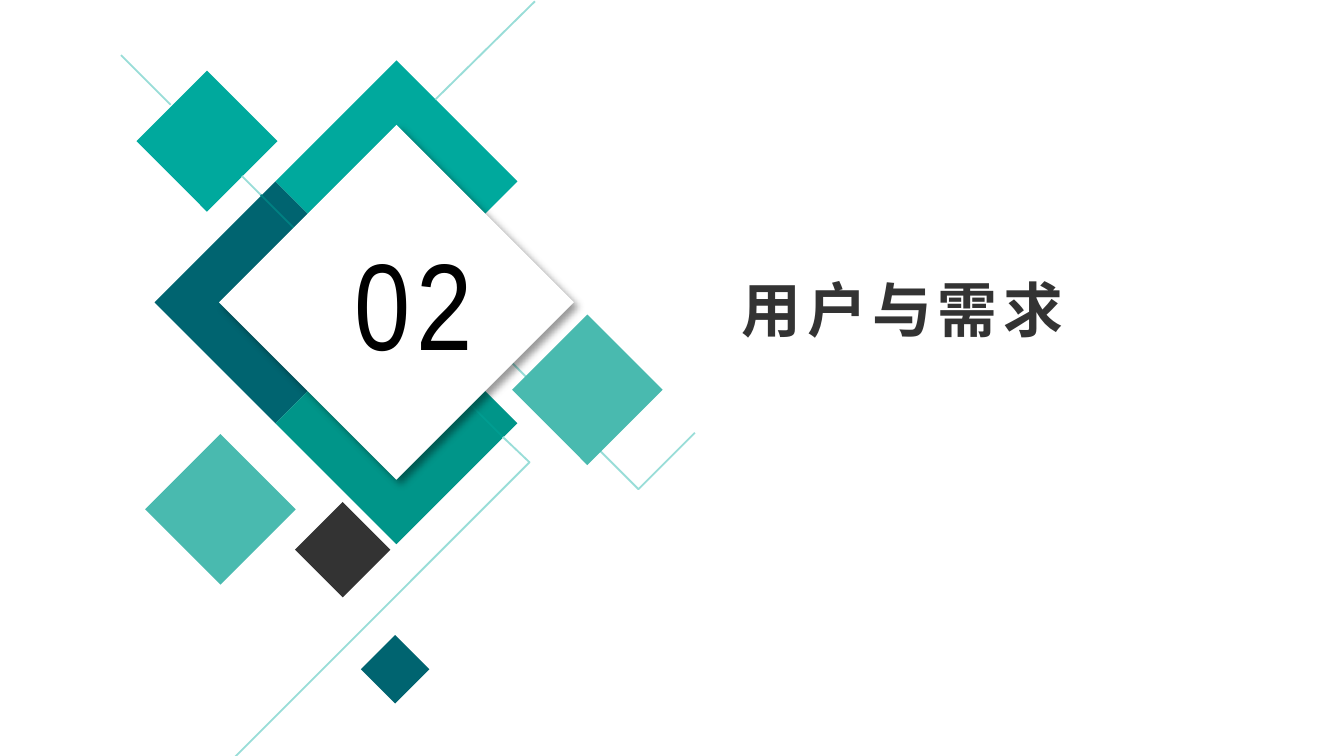
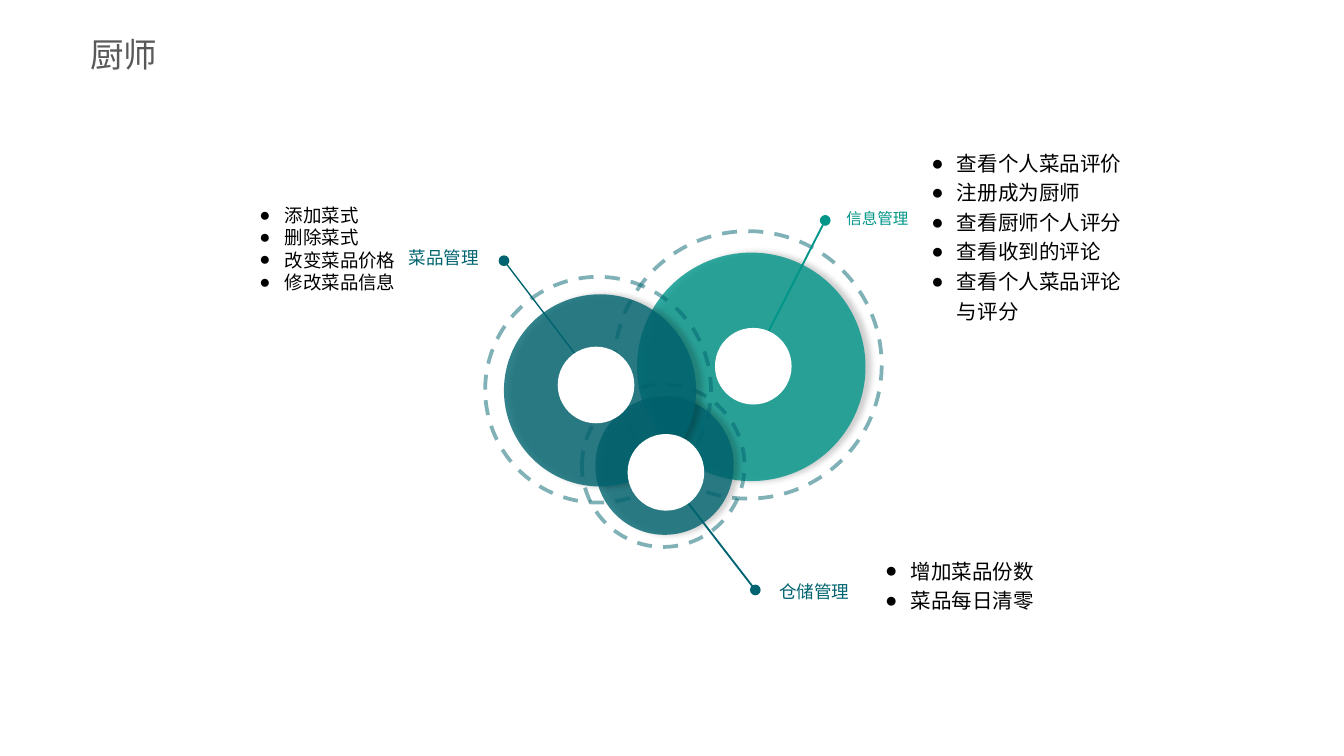
from dataclasses import dataclass

from lxml.etree import SubElement
from pptx import Presentation
from pptx.dml.color import RGBColor
from pptx.enum.dml import MSO_LINE
from pptx.enum.shapes import MSO_CONNECTOR, MSO_SHAPE
from pptx.enum.text import MSO_ANCHOR as Anchor, MSO_AUTO_SIZE as AutoSize, PP_ALIGN as Align
from pptx.oxml.ns import qn
from pptx.util import Inches, Pt


# ---- Theme ----
@dataclass(frozen=True)
class Theme:
    font: str = "Noto Sans CJK SC"
    number_font: str = "Arial Narrow"
    black: str = "000000"
    white: str = "FFFFFF"
    ink: str = "333333"
    grey: str = "595959"
    petrol: str = "006470"
    teal: str = "00A99D"
    green: str = "009589"
    mint: str = "49BAAF"
    thread: str = "99DDD8"
    thread_petrol: str = "008082"
    thread_green: str = "009D91"
    section_size: float = 32
    number_size: float = 66
    title_size: float = 18
    label_size: float = 9.4
    small_label_size: float = 8.3
    list_size: float = 11
    small_list_size: float = 9.9


THEME = Theme()
TITLE_ONLY, COMPARISON = 5, 4
Point = tuple[float, float]
Area = tuple[float, float, float, float]


# ---- Repeated elements ----
@dataclass(frozen=True)
class Shadow:
    alpha: int
    blur: float
    distance: float
    angle: int


@dataclass(frozen=True)
class Diamond:
    x: float  # centre
    y: float
    size: float
    color: str
    shadow: Shadow | None = None


@dataclass(frozen=True)
class Thread:
    color: str
    points: list[Point]


@dataclass(frozen=True)
class Circle:
    left: float
    top: float
    size: float


@dataclass(frozen=True)
class Orb:
    color: str
    disc: Circle
    halo: Circle
    hole: Circle


@dataclass(frozen=True)
class Callout:
    label: str
    color: str
    dot: Point
    target: Point
    label_at: Point
    size: float = THEME.label_size
    line_width: float = 1
    align: Align = Align.LEFT


@dataclass(frozen=True)
class BulletList:
    area: Area
    items: list[str]
    size: float = THEME.list_size
    spacing: float = 1.2
    bottom: float = 0  # inset that lifts the centred text
    align: Align = Align.LEFT


# ---- Section slide ----
FRAME = [
    Diamond(2.05, 2.25, 1.8, THEME.petrol),
    Diamond(2.95, 1.35, 1.8, THEME.teal),
    Diamond(1.54, 1.05, 1.05, THEME.teal),
    Diamond(2.95, 3.15, 1.8, THEME.green),
    Diamond(2.55, 4.09, 0.71, THEME.ink),
]
THREADS = [
    Thread(THEME.thread, [(3.15, 2.04), (4.75, 3.64), (5.17, 3.22)]),
    Thread(THEME.thread, [(3.24, 0.74), (3.98, 0.01)]),
    Thread(THEME.thread, [(3.74, 3.25), (3.94, 3.44), (1.74, 5.64)]),
    Thread(THEME.thread, [(1.8, 1.31), (1.94, 1.45)]),
    Thread(THEME.thread, [(0.9, 0.41), (1.27, 0.78)]),
    Thread(THEME.thread_petrol, [(1.94, 1.45), (2.84, 2.35)]),
    Thread(THEME.thread_green, [(2.84, 2.35), (3.74, 3.25)]),
]
FRONT = [
    Diamond(2.95, 2.25, 2.64, THEME.white, Shadow(40, 4, 3, 45)),
    Diamond(4.37, 2.9, 1.12, THEME.mint),
    Diamond(1.64, 3.79, 1.12, THEME.mint),
    Diamond(2.94, 4.98, 0.51, THEME.petrol),
]

# ---- Chef slide ----
ORB_SHADOW = Shadow(23, 3, 3, 0)
ORBS = [
    Orb(THEME.green, Circle(4.74, 1.88, 1.7), Circle(4.57, 1.72, 1.99), Circle(5.32, 2.44, 0.57)),
    Orb(THEME.petrol, Circle(4.43, 2.95, 1.03), Circle(4.33, 2.86, 1.21), Circle(4.67, 3.23, 0.57)),
    Orb(THEME.petrol, Circle(3.75, 2.19, 1.43), Circle(3.61, 2.06, 1.68), Circle(4.15, 2.58, 0.57)),
]
CALLOUTS = [
    Callout("信息管理", THEME.green, (6.14, 1.64), (5.66, 2.58), (6.2, 1.51),
            size=THEME.small_label_size),
    Callout("菜品管理", THEME.petrol, (3.75, 1.94), (4.36, 2.74), (2.66, 1.79),
            line_width=0.75, align=Align.RIGHT),
    Callout("仓储管理", THEME.petrol, (5.62, 4.39), (5.01, 3.6), (5.7, 4.27)),
]
LISTS = [
    BulletList((1.93, 1.51, 1.45, 0.68), ["添加菜式", "删除菜式", "改变菜品价格", "修改菜品信息"],
               size=THEME.small_list_size, spacing=1.0),
    BulletList((6.93, 1.27, 1.42, 1.17),
               ["查看个人菜品评价", "注册成为厨师", "查看厨师个人评分", "查看收到的评论",
                "查看个人菜品评论与评分"], bottom=0.22),
    BulletList((6.44, 4.22, 1.4, 0.68), ["增加菜品份数", "菜品每日清零"],
               bottom=0.44, align=Align.CENTER),
]


# ---- Drawing helpers ----
def place(box, left: float, top: float, width: float, height: float) -> None:
    box.left, box.top = Inches(left), Inches(top)
    box.width, box.height = Inches(width), Inches(height)


def set_alpha(parent, percent: int) -> None:
    color = next(parent.iter(qn("a:srgbClr")))
    SubElement(color, qn("a:alpha"), val=str(percent * 1000))


def set_shadow(shape, shadow: Shadow) -> None:
    effects = shape._element.spPr.find(qn("a:effectLst"))
    outer = SubElement(effects, qn("a:outerShdw"), blurRad=str(Pt(shadow.blur)),
                       dist=str(Pt(shadow.distance)), dir=str(shadow.angle * 60000),
                       algn="ctr", rotWithShape="0")
    SubElement(outer, qn("a:srgbClr"), val=THEME.black)
    set_alpha(outer, shadow.alpha)


def add_solid(page, kind, left: float, top: float, size: float, color: str,
              alpha: int = 100, shadow: Shadow | None = None):
    shape = page.shapes.add_shape(kind, *map(Inches, (left, top, size, size)))
    shape.shadow.inherit = False
    shape.fill.solid()
    shape.fill.fore_color.rgb = RGBColor.from_string(color)
    shape.line.fill.background()
    if alpha < 100:
        set_alpha(shape._element.spPr.find(qn("a:solidFill")), alpha)
    if shadow:
        set_shadow(shape, shadow)
    return shape


def add_diamond(page, item: Diamond) -> None:
    add_solid(page, MSO_SHAPE.DIAMOND, item.x - item.size / 2, item.y - item.size / 2,
              item.size, item.color, shadow=item.shadow)


def add_halo(page, circle: Circle) -> None:
    halo = add_solid(page, MSO_SHAPE.OVAL, circle.left, circle.top, circle.size, THEME.white)
    halo.fill.background()
    halo.line.color.rgb = RGBColor.from_string(THEME.petrol)
    halo.line.width = Pt(2)
    halo.line.dash_style = MSO_LINE.DASH
    set_alpha(halo._element.spPr.find(qn("a:ln")), 50)


def add_path(page, points: list[Point], color: str, width: float = 1) -> None:
    """Draw a straight line as a connector and a bent one as an open outline."""
    corners = [(Inches(x), Inches(y)) for x, y in points]
    if len(corners) == 2:
        stroke = page.shapes.add_connector(MSO_CONNECTOR.STRAIGHT, *corners[0], *corners[1])
        SubElement(stroke._element.spPr, qn("a:effectLst"))
    else:
        builder = page.shapes.build_freeform(*corners[0], scale=1.0)
        builder.add_line_segments(corners[1:], close=False)
        stroke = builder.convert_to_shape()
        stroke.fill.background()
        stroke.shadow.inherit = False
    stroke.line.color.rgb = RGBColor.from_string(color)
    stroke.line.width = Pt(width)


def write(para, text: str, *, size: float, color: str, font: str = THEME.font,
          bold: bool = False, tracking: float = 0, align: Align = Align.LEFT) -> None:
    para.alignment = align
    span = para.add_run()
    span.text = text
    span.font.size, span.font.bold, span.font.name = Pt(size), bold, font
    span.font.color.rgb = RGBColor.from_string(color)
    properties = span._r.get_or_add_rPr()
    SubElement(properties, qn("a:ea"), typeface=font)
    if tracking:
        properties.set("spc", str(int(tracking * 100)))


def set_frame(box, *, anchor: Anchor = Anchor.TOP, side: float = 0.1,
              top: float = 0.05, bottom: float = 0.05):
    frame = box.text_frame
    frame.word_wrap = True
    frame.auto_size = AutoSize.NONE
    frame.vertical_anchor = anchor
    frame.margin_left = frame.margin_right = Inches(side)
    frame.margin_top, frame.margin_bottom = Inches(top), Inches(bottom)
    return frame


def add_text(page, area: Area, text: str, **style) -> None:
    box = page.shapes.add_textbox(*map(Inches, area))
    write(set_frame(box).paragraphs[0], text, **style)


def set_title(page, area: Area, text: str, *, anchor: Anchor = Anchor.TOP,
              side: float = 0.1, **style) -> None:
    title = page.shapes.title
    place(title, *area)
    write(set_frame(title, anchor=anchor, side=side).paragraphs[0], text, **style)


def fill_list(box, bullets: BulletList) -> None:
    place(box, *bullets.area)
    frame = set_frame(box, anchor=Anchor.MIDDLE, side=0, top=0, bottom=bullets.bottom)
    for index, item in enumerate(bullets.items):
        para = frame.add_paragraph() if index else frame.paragraphs[0]
        write(para, item, size=bullets.size, color=THEME.black, align=bullets.align)
        para.line_spacing = bullets.spacing
        para.space_before = para.space_after = Pt(0)
        properties = para._p.get_or_add_pPr()
        properties.set("marL", str(Inches(0.19)))
        properties.set("indent", str(-Inches(0.19)))
        SubElement(properties, qn("a:buChar"), char="●")


def add_callout(page, item: Callout) -> None:
    add_path(page, [item.dot, item.target], item.color, item.line_width)
    x, y = item.dot
    add_solid(page, MSO_SHAPE.OVAL, x - 0.04, y - 0.04, 0.08, item.color)
    add_text(page, (*item.label_at, 1, 0.27), item.label,
             size=item.size, color=item.color, align=item.align)


# ---- Slides ----
def build_section(deck) -> None:
    page = deck.slides.add_slide(deck.slide_layouts[TITLE_ONLY])
    set_title(page, (5.42, 1.98, 5.08, 0.64), "用户与需求", size=THEME.section_size,
              color=THEME.ink, bold=True, tracking=3)
    for item in FRAME:
        add_diamond(page, item)
    for thread in THREADS:
        add_path(page, thread.points, thread.color)
    for item in FRONT:
        add_diamond(page, item)
    add_text(page, (2.54, 1.64, 1.18, 1.21), "02", size=THEME.number_size,
             color=THEME.black, font=THEME.number_font, tracking=3)


def build_chef(deck) -> None:
    page = deck.slides.add_slide(deck.slide_layouts[COMPARISON])
    set_title(page, (0.67, 0.19, 2.33, 0.42), "厨师", anchor=Anchor.MIDDLE, side=0,
              size=THEME.title_size, color=THEME.grey)
    bodies = [box for box in page.placeholders if box.placeholder_format.idx > 0]
    for box, bullets in zip(bodies, LISTS):
        fill_list(box, bullets)
    for spare in bodies[len(LISTS):]:
        spare._element.getparent().remove(spare._element)
    for orb in ORBS:
        disc = orb.disc
        add_solid(page, MSO_SHAPE.OVAL, disc.left, disc.top, disc.size, orb.color,
                  alpha=80, shadow=ORB_SHADOW)
        add_halo(page, orb.halo)
    for item in CALLOUTS:
        add_callout(page, item)
    for orb in ORBS:
        add_solid(page, MSO_SHAPE.OVAL, orb.hole.left, orb.hole.top, orb.hole.size, THEME.white)


def main() -> None:
    deck = Presentation()
    deck.slide_width = Inches(10)
    deck.slide_height = deck.slide_width * 9 // 16
    build_section(deck)
    build_chef(deck)
    deck.save("out.pptx")


if __name__ == "__main__":
    main()
